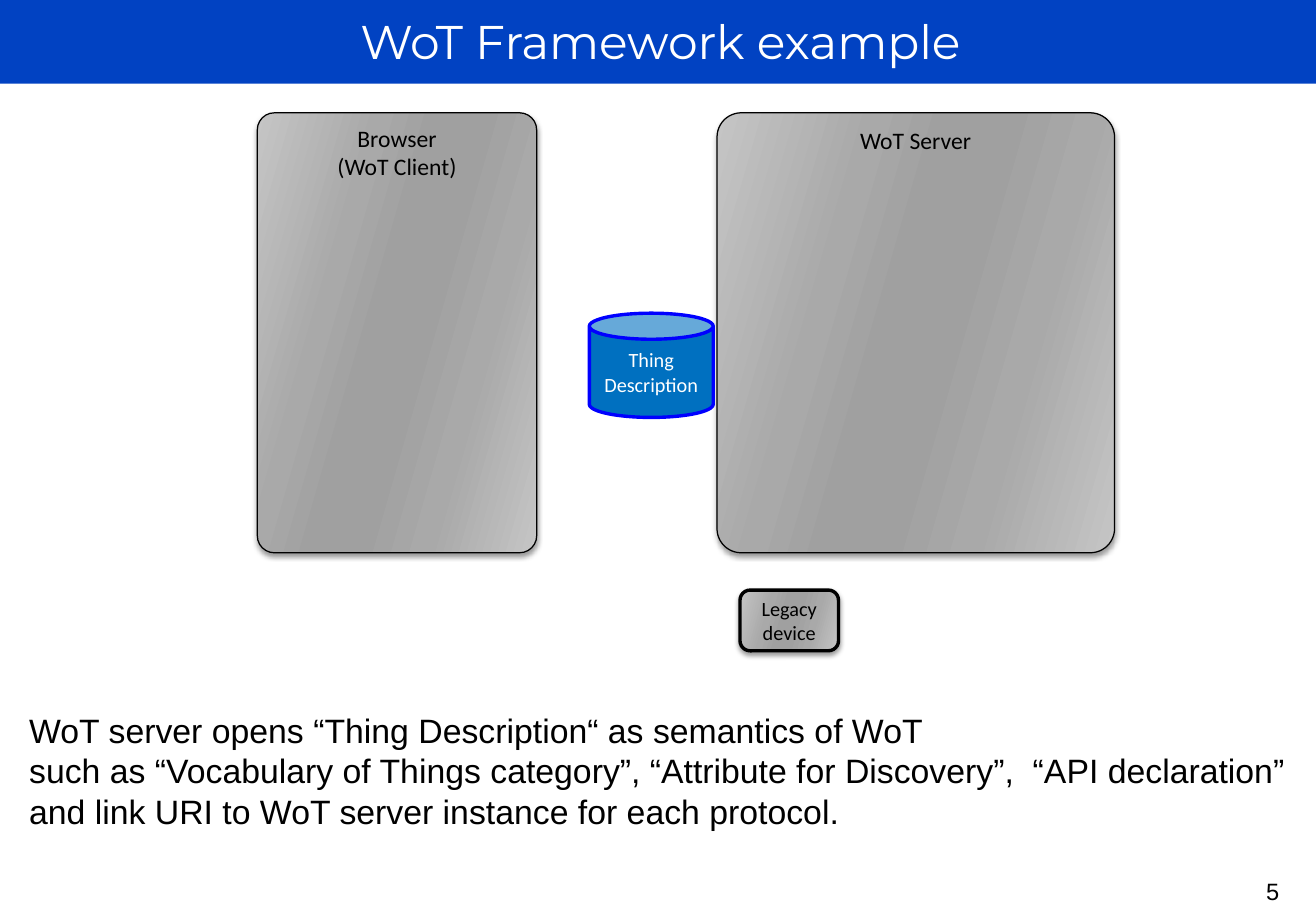
from lxml.etree import SubElement
from pptx import Presentation
from pptx.dml.color import RGBColor
from pptx.enum.shapes import MSO_SHAPE as Shape
from pptx.enum.text import MSO_ANCHOR as Anchor, MSO_AUTO_SIZE as AutoSize, PP_ALIGN as Align
from pptx.oxml.ns import qn
from pptx.util import Cm, Pt

METAL = [(0, "C5C5C5"), (30, "A9A9A9"), (45, "A0A0A0"),
         (55, "A0A0A0"), (73, "A9A9A9"), (100, "C5C5C5")]


def color(hex_value):
    return RGBColor.from_string(hex_value)


def write(frame, text, font="Arial", size=14, ink="000000", align=Align.CENTER,
          anchor=Anchor.TOP, wrap=True):
    frame.auto_size = AutoSize.NONE
    frame.word_wrap = wrap
    frame.vertical_anchor = anchor
    frame.text = text
    for paragraph in frame.paragraphs:
        paragraph.alignment = align
        paragraph.font.name = font
        paragraph.font.size = Pt(size)
        paragraph.font.color.rgb = color(ink)


class Deck:
    """Hold the style and the current slide, and draw each kind of element."""

    def __init__(self, width, height):
        self.show = Presentation()
        self.show.slide_width, self.show.slide_height = Cm(width), Cm(height)
        self.slide = self.show.slides.add_slide(self.show.slide_layouts[5])

    def title(self, text, box):
        heading = self.slide.shapes.title
        heading.left, heading.top, heading.width, heading.height = map(Cm, box)
        write(heading.text_frame, text, font="Montserrat", size=28, ink="FFFFFF")

    def text(self, text, box, **style):
        write(self.slide.shapes.add_textbox(*map(Cm, box)).text_frame, text, **style)

    def shape(self, kind, box, fill=None, line=None, weight=0.75):
        item = self.slide.shapes.add_shape(kind, *map(Cm, box))
        item.shadow.inherit = False
        if fill:
            item.fill.solid()
            item.fill.fore_color.rgb = color(fill)
        if line:
            item.line.color.rgb = color(line)
            item.line.width = Pt(weight)
        else:
            item.line.fill.background()
        return item

    def band(self, box, fill):
        bar = self.shape(Shape.RECTANGLE, box, fill)
        self.slide.shapes._spTree.insert(2, bar._element)

    def store(self, text, box):
        can = self.shape(Shape.CAN, box, "0070C0", "0000FF", 2)
        write(can.text_frame, text, font="Calibri", size=12, ink="FFFFFF",
              anchor=Anchor.MIDDLE, wrap=False)

    def panel(self, text, box, weight=0.75, corner=0.061, **style):
        plate = self.shape(Shape.ROUNDED_RECTANGLE, box, line="000000", weight=weight)
        plate.adjustments[0] = corner
        plate.fill.gradient()
        plate.fill.gradient_angle = 344
        properties = plate._element.spPr
        stops = properties.find(qn("a:gradFill")).find(qn("a:gsLst"))
        stops.clear()
        for percent, shade in METAL:
            stop = SubElement(stops, qn("a:gs"), pos=str(percent * 1000))
            SubElement(stop, qn("a:srgbClr"), val=shade)
        shadow = SubElement(properties.find(qn("a:effectLst")), qn("a:outerShdw"),
                            blurRad=str(Pt(3)), dist=str(Pt(2)), dir="5400000",
                            rotWithShape="0")
        tint = SubElement(shadow, qn("a:srgbClr"), val="000000")
        SubElement(tint, qn("a:alpha"), val="40000")
        write(plate.text_frame, text, font="Calibri", wrap=False, **style)


def main():
    deck = Deck(27.51, 19.05)
    deck.band((0, -0.08, 27.51, 1.83), "0142C2")
    deck.title("WoT Framework example", (0.05, 0.13, 27.51, 1.45))
    deck.text("5", (25.45, 18.21, 2.31, 1.32))
    deck.panel("WoT Server", (14.99, 2.36, 8.31, 9.2))
    deck.store("Thing\nDescription", (12.32, 6.55, 2.59, 2.18))
    deck.panel("Legacy\ndevice", (15.47, 12.34, 2.06, 1.27), weight=2, corner=0.167,
               size=12, anchor=Anchor.MIDDLE)
    deck.panel("Browser\n(WoT Client)", (5.38, 2.36, 5.84, 9.2))
    deck.text("WoT server opens “Thing Description“ as semantics of WoT\n"
              "such as “Vocabulary of Things category”, “Attribute for Discovery”,  “API declaration”\n"
              "and link URI to WoT server instance for each protocol.",
              (0.36, 14.71, 26.95, 2.82), size=20, align=Align.LEFT, wrap=False)
    deck.show.save("out.pptx")


if __name__ == "__main__":
    main()
